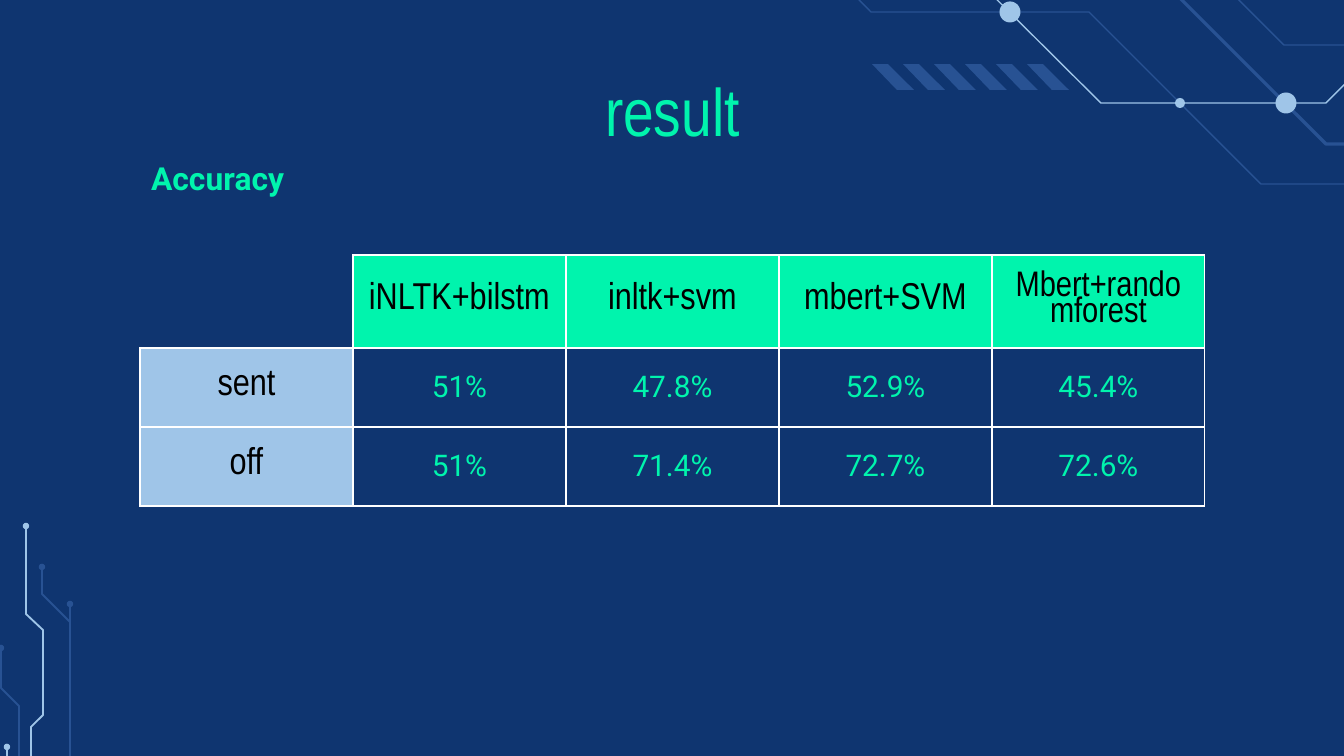
from dataclasses import dataclass

from lxml.etree import SubElement
from pptx import Presentation
from pptx.dml.color import RGBColor
from pptx.enum.shapes import MSO_CONNECTOR as CONN, MSO_SHAPE as SHAPE
from pptx.enum.text import MSO_ANCHOR as ANCHOR, PP_ALIGN as ALIGN
from pptx.oxml.ns import qn
from pptx.util import Emu, Pt

EMU_PER_PX = 9144000 / 1344
COLORS = {
    "navy": "0F3570",
    "blue": "285293",
    "sky": "9FC5E8",
    "mint": "00F4AD",
    "black": "000000",
    "white": "FFFFFF",
}
NARROW, ROBOTO = "Arial Narrow", "Roboto"


@dataclass
class Trace:
    points: list[tuple[int, int]]
    color: str
    width: float


@dataclass
class Dot:
    x: int
    y: int
    size: int
    color: str
    width: float = 0


@dataclass
class CellStyle:
    fill: str | None
    color: str
    font: str
    size: int
    spacing: float


CIRCUIT = [
    Trace([(656, -145), (902, -145), (988, -59), (1123, -59), (1326, 144), (1595, 144)], "blue", 1.75),
    Trace([(710, -58), (939, -58), (1101, 103), (1326, 103), (1483, -54), (1629, -54)], "sky", 0.75),
    Trace([(606, -40), (820, -40), (871, 12), (1089, 12), (1261, 184), (1365, 184),
           (1472, 77), (1594, 77)], "blue", 0.75),
    Trace([(1180, -59), (1284, 45), (1523, 45)], "blue", 0.75),
]
NODES = [Dot(1180, 103, 10, "sky"), Dot(1010, 12, 21, "sky"), Dot(1286, 103, 21, "sky")]
STEMS = [
    Trace([(31, 1034), (31, 727), (43, 715), (43, 630), (26, 614), (26, 526)], "sky", 1),
    Trace([(54, 948), (54, 790), (70, 774), (70, 604)], "blue", 1),
    Trace([(70, 622), (42, 594), (42, 567)], "blue", 1),
    Trace([(-5, 954), (19, 929), (19, 706), (1, 688), (1, 648)], "blue", 1),
    Trace([(7, 906), (7, 747)], "sky", 1),
]
RESULTS = [
    ["", "iNLTK+bilstm", "inltk+svm", "mbert+SVM", "Mbert+randomforest"],
    ["sent", "51%", "47.8%", "52.9%", "45.4%"],
    ["off", "51%", "71.4%", "72.7%", "72.6%"],
]
COL_WIDTH = 213
ROW_HEIGHTS = [93, 79, 79]
HEADER = CellStyle("mint", "black", NARROW, 20, 0.8)
LONG_HEADER = CellStyle("mint", "black", NARROW, 19, 0.8)
LABEL = CellStyle("sky", "black", NARROW, 20, 0.8)
VALUE = CellStyle(None, "mint", ROBOTO, 16, 1)


def px(n: float) -> Emu:
    return Emu(round(n * EMU_PER_PX))


def rgb(name: str) -> RGBColor:
    return RGBColor.from_string(COLORS[name])


def set_font(p, name: str, size: int, color: str, bold: bool = False) -> None:
    p.font.name, p.font.size, p.font.bold = name, Pt(size), bold
    p.font.color.rgb = rgb(color)


def set_fill(fill, color: str | None) -> None:
    if color:
        fill.solid()
        fill.fore_color.rgb = rgb(color)
    else:
        fill.background()


def set_line(line, color: str, width: float) -> None:
    set_fill(line.fill, color if width else None)
    if width:
        line.width = Pt(width)


def set_margins(tf, margin: int) -> None:
    tf.margin_left = tf.margin_right = tf.margin_top = tf.margin_bottom = px(margin)


def add_outline(s, points: list[tuple[int, int]], close: bool):
    builder = s.shapes.build_freeform(*points[0], scale=EMU_PER_PX)
    builder.add_line_segments(points[1:], close=close)
    sp = builder.convert_to_shape()
    sp.shadow.inherit = False
    return sp


def add_trace(s, trace: Trace) -> None:
    if len(trace.points) == 2:
        (x1, y1), (x2, y2) = trace.points
        sp = s.shapes.add_connector(CONN.STRAIGHT, px(x1), px(y1), px(x2), px(y2))
        SubElement(sp._element.spPr, qn("a:effectLst"))
    else:
        sp = add_outline(s, trace.points, False)
        set_fill(sp.fill, None)
    set_line(sp.line, trace.color, trace.width)


def add_dot(s, dot: Dot) -> None:
    r = dot.size / 2
    sp = s.shapes.add_shape(SHAPE.OVAL, px(dot.x - r), px(dot.y - r), px(dot.size), px(dot.size))
    sp.shadow.inherit = False
    set_fill(sp.fill, dot.color)
    set_line(sp.line, dot.color, dot.width)


def add_slash(s, x: int, y: int) -> None:
    sp = add_outline(s, [(x, y), (x + 25, y + 26), (x + 42, y + 26), (x + 16, y)], True)
    set_fill(sp.fill, "blue")
    set_line(sp.line, "blue", 0)


def set_borders(cell, hidden: str) -> None:
    tc_pr = cell._tc.get_or_add_tcPr()
    for side in "LRTB":
        ln = SubElement(tc_pr, qn(f"a:ln{side}"), w=str(Pt(0.75)))
        if side in hidden:
            SubElement(ln, qn("a:noFill"))
        else:
            SubElement(SubElement(ln, qn("a:solidFill")), qn("a:srgbClr"), val=COLORS["white"])


def cell_style(row: int, col: int) -> CellStyle:
    if row == 0 and col:
        return LONG_HEADER if col == 4 else HEADER
    return LABEL if row and col == 0 else VALUE


def add_results(s) -> None:
    cols = len(RESULTS[0])
    table = s.shapes.add_table(len(RESULTS), cols, px(140), px(255),
                               px(COL_WIDTH * cols), px(sum(ROW_HEIGHTS))).table
    table.first_row = table.horz_banding = False
    for col in table.columns:
        col.width = px(COL_WIDTH)
    for r, (height, texts) in enumerate(zip(ROW_HEIGHTS, RESULTS)):
        table.rows[r].height = px(height)
        for c, text in enumerate(texts):
            cell, style = table.cell(r, c), cell_style(r, c)
            set_borders(cell, "" if text else "LT")
            set_fill(cell.fill, style.fill)
            set_margins(cell, 13)
            cell.vertical_anchor = ANCHOR.MIDDLE
            cell.text = text
            p = cell.text_frame.paragraphs[0]
            p.alignment, p.line_spacing = ALIGN.CENTER, style.spacing
            set_font(p, style.font, style.size, style.color)


def add_title(s) -> None:
    sp = s.shapes.title
    sp.left, sp.top, sp.width, sp.height = px(106), px(69), px(1133), px(71)
    tf = sp.text_frame
    tf.text = "result"
    tf.vertical_anchor = ANCHOR.TOP
    set_margins(tf, 0)
    p = tf.paragraphs[0]
    p.alignment = ALIGN.CENTER
    set_font(p, NARROW, 36, "mint")


def add_subtitle(s) -> None:
    tf = s.shapes.add_textbox(px(71), px(140), px(282), px(66)).text_frame
    tf.word_wrap = True
    set_margins(tf, 13)
    p = tf.paragraphs[0]
    p.text = "Accuracy"
    p.line_spacing, p.space_after = 1.15, Pt(16)
    p._p.get_or_add_pPr().set("marL", str(px(67)))
    set_font(p, ROBOTO, 17, "mint", True)


def main() -> None:
    prs = Presentation()
    prs.slide_width, prs.slide_height = px(1344), px(756)
    s = prs.slides.add_slide(prs.slide_layouts[5])
    set_fill(s.background.fill, "navy")
    for trace in CIRCUIT:
        add_trace(s, trace)
    for dot in NODES:
        add_dot(s, dot)
    for i in range(6):
        add_slash(s, 872 + 31 * i, 64)
    for stem in STEMS:
        add_trace(s, stem)
        add_dot(s, Dot(*stem.points[-1], 5, stem.color, 0.75))
    add_title(s)
    add_results(s)
    add_subtitle(s)
    prs.save("out.pptx")


if __name__ == "__main__":
    main()
